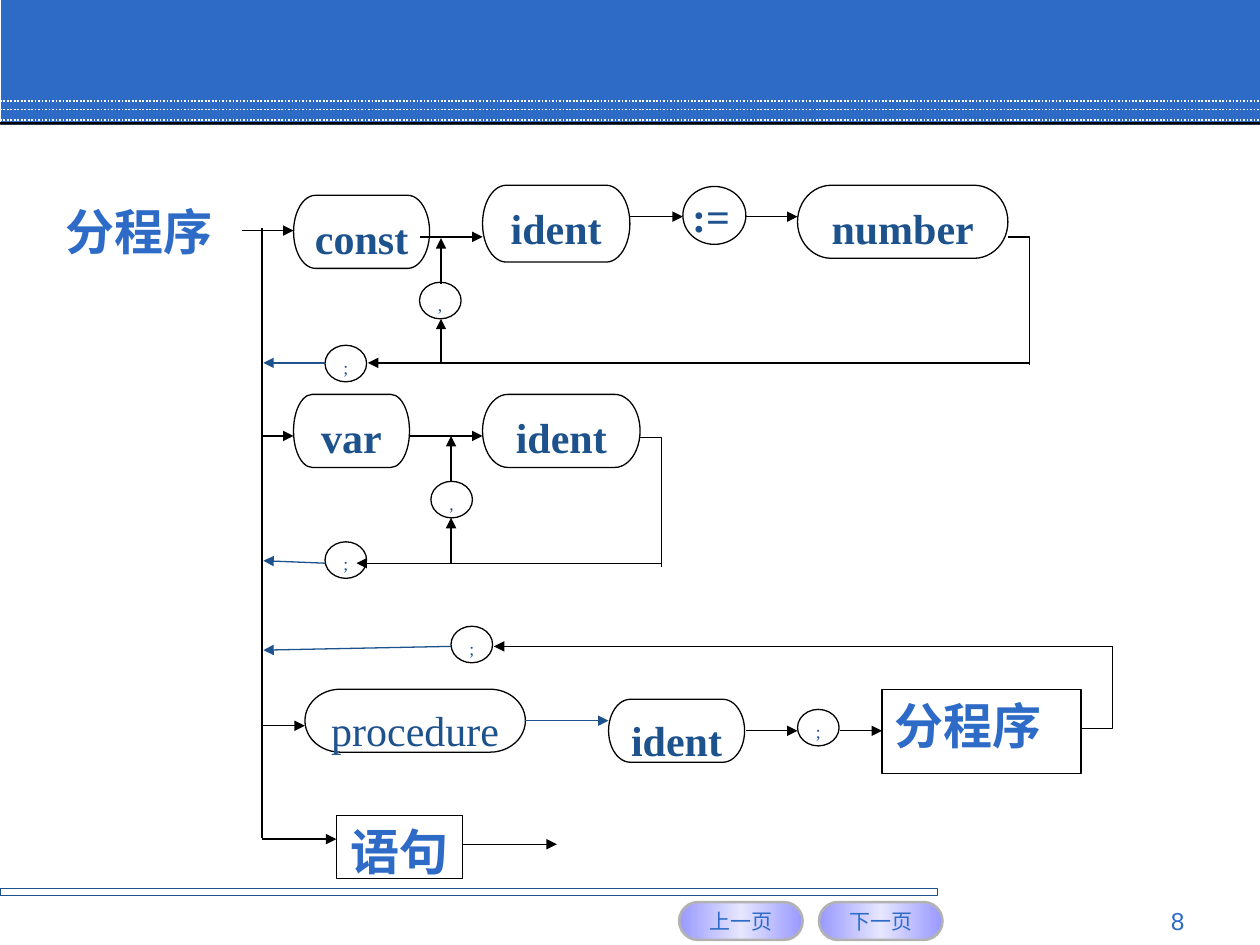
from copy import deepcopy

from pptx import Presentation
from pptx.dml.color import RGBColor
from pptx.enum.dml import MSO_LINE_DASH_STYLE as DASH
from pptx.enum.shapes import MSO_CONNECTOR, MSO_SHAPE as SHAPE
from pptx.enum.text import MSO_ANCHOR as ANCHOR, PP_ALIGN as ALIGN
from pptx.oxml.ns import qn
from pptx.util import Inches, Pt
from lxml.etree import SubElement

COLORS = {
    "blue": "2D6BC7", "navy": "1D528D", "black": "000000", "white": "FFFFFF",
    "lilac": "9999FF", "pale": "E6E6FF", "gray": "B2B2B2",
}
SERIF, SANS, CJK = "Times New Roman", "Arial", "Noto Sans CJK SC"

# Terminals: text, left, top, width, height, bold
TERMINALS = [
    ("const", 2.33, 1.55, 1.08, 0.58, True),
    ("ident", 3.83, 1.47, 1.17, 0.61, True),
    ("number", 6.33, 1.47, 1.67, 0.58, True),
    ("var", 2.33, 3.13, 0.92, 0.58, True),
    ("ident", 3.83, 3.13, 1.25, 0.58, True),
    ("procedure", 2.42, 5.47, 1.75, 0.5, False),
    ("ident", 4.83, 5.55, 1.08, 0.5, True),
]
# Separators: text, left, top
SEPARATORS = [
    (",", 3.33, 2.24), (";", 2.58, 2.74), (",", 3.42, 3.82),
    (";", 2.58, 4.3), (";", 3.58, 4.97), (";", 6.33, 5.63),
]
# Arrows: from x, from y, to x, to y
FLOWS = [
    # constant declarations
    (1.92, 1.83, 2.33, 1.83), (3.33, 1.88, 3.83, 1.88),
    (5, 1.72, 5.42, 1.72), (5.92, 1.72, 6.33, 1.72),
    (8.17, 2.88, 2.92, 2.88), (3.5, 2.89, 3.5, 2.53), (3.5, 2.25, 3.5, 1.89),
    # variable declarations
    (2.08, 3.46, 2.33, 3.46), (3.25, 3.46, 3.83, 3.46),
    (5.25, 4.47, 2.83, 4.47), (3.58, 4.47, 3.58, 4.11), (3.58, 3.82, 3.58, 3.46),
    # procedure declarations
    (2.08, 5.76, 2.42, 5.76), (5.92, 5.8, 6.33, 5.8),
    (6.67, 5.8, 7, 5.8), (8.83, 5.13, 3.92, 5.13),
    # statement
    (2.08, 6.66, 2.67, 6.66), (3.67, 6.7, 4.42, 6.7),
]
NAVY_FLOWS = [
    (2.58, 2.88, 2.09, 2.88), (2.58, 4.47, 2.09, 4.45),
    (3.58, 5.13, 2.09, 5.16), (4.17, 5.72, 4.83, 5.72),
]
LOOP_CORNERS = [
    [(8, 1.88), (8.17, 1.88), (8.17, 2.9)],
    [(5.08, 3.47), (5.25, 3.47), (5.25, 4.5)],
    [(8.58, 5.78), (8.83, 5.78), (8.83, 5.13)],
]


def rgb(name):
    return RGBColor.from_string(COLORS[name])


def set_text(shape, text, size, color, font=SERIF, bold=False,
             align=ALIGN.CENTER, anchor=ANCHOR.TOP, side_inset=0.1, wrap=True):
    frame = shape.text_frame
    frame.text = text
    frame.word_wrap = wrap
    frame.vertical_anchor = anchor
    frame.margin_left = frame.margin_right = Inches(side_inset)
    frame.margin_top = frame.margin_bottom = Inches(0.05)
    paragraph = frame.paragraphs[0]
    paragraph.alignment = align
    run = paragraph.runs[0]
    run.font.name = font
    run.font.size = Pt(size)
    run.font.bold = bold
    run.font.color.rgb = rgb(color)
    SubElement(run.font._element, qn("a:ea"), typeface=CJK)


def add_box(slide, kind, left, top, width, height,
            fill="white", line="black", weight=0.75):
    box = slide.shapes.add_shape(
        kind, Inches(left), Inches(top), Inches(width), Inches(height))
    box.shadow.inherit = False
    if fill:
        box.fill.solid()
        box.fill.fore_color.rgb = rgb(fill)
    else:
        box.fill.background()
    if line:
        box.line.color.rgb = rgb(line)
        box.line.width = Pt(weight)
    else:
        box.line.fill.background()
    return box


def add_label(slide, text, left, top, width, height, size, **style):
    label = slide.shapes.add_textbox(
        Inches(left), Inches(top), Inches(width), Inches(height))
    set_text(label, text, size, "blue", **style)


def add_line(slide, x1, y1, x2, y2, color="black", weight=0.75, arrow=False):
    line = slide.shapes.add_connector(
        MSO_CONNECTOR.STRAIGHT, Inches(x1), Inches(y1), Inches(x2), Inches(y2))
    line.line.color.rgb = rgb(color)
    line.line.width = Pt(weight)
    if arrow:
        SubElement(line.line._get_or_add_ln(), qn("a:tailEnd"), type="triangle")
    SubElement(line._element.spPr, qn("a:effectLst"))
    return line


def add_corner(slide, points):
    start, *rest = [(Inches(x), Inches(y)) for x, y in points]
    builder = slide.shapes.build_freeform(*start)
    builder.add_line_segments(rest, close=False)
    corner = builder.convert_to_shape()
    corner.shadow.inherit = False
    corner.fill.background()
    corner.line.color.rgb = rgb("black")
    corner.line.width = Pt(0.75)


def add_button(slide, text, left):
    button = add_box(slide, SHAPE.ROUNDED_RECTANGLE, left, 7.16, 0.98, 0.3,
                     line="gray", weight=1.5)
    button.adjustments[0] = 0.5
    button.fill.gradient()
    button.fill.gradient_angle = 0
    stop_list = button._element.spPr.find(".//" + qn("a:gsLst"))
    stop_list.append(deepcopy(stop_list[0]))
    stops = zip(button.fill.gradient_stops, (0, 0.5, 1), ("lilac", "pale", "lilac"))
    for stop, position, color in stops:
        stop.position = position
        stop.color.rgb = rgb(color)
    set_text(button, text, 12, "blue", font=SANS, anchor=ANCHOR.MIDDLE, wrap=False)


def add_frame(slide):
    # Header band with dotted rules
    add_box(slide, SHAPE.RECTANGLE, 0.01, 0, 9.99, 0.99, fill="blue", line=None)
    for y in (0.8, 0.87, 0.95):
        rule = add_line(slide, 0, y, 10, y, "white", 1)
        rule.line.dash_style = DASH.ROUND_DOT
    add_box(slide, SHAPE.RECTANGLE, 0, 0.97, 10, 0.02, fill="black", line=None)
    # Footer bar, navigation and page number
    add_box(slide, SHAPE.RECTANGLE, 0, 7.05, 7.44, 0.06, fill=None, line="navy")
    add_button(slide, "上一页", 5.39)
    add_button(slide, "下一页", 6.5)
    add_label(slide, "8", 7.17, 7.14, 2.33, 0.27, 14, font=SANS, align=ALIGN.RIGHT)


def add_nodes(slide):
    for text, left, top, width, height, bold in TERMINALS:
        node = add_box(slide, SHAPE.FLOWCHART_TERMINATOR, left, top, width, height)
        set_text(node, text, 24, "navy", bold=bold)
    assign = add_box(slide, SHAPE.FLOWCHART_CONNECTOR, 5.42, 1.48, 0.5, 0.46)
    set_text(assign, ":=", 24, "navy", bold=True, align=ALIGN.JUSTIFY,
             anchor=ANCHOR.MIDDLE, side_inset=0)
    for text, left, top in SEPARATORS:
        separator = add_box(slide, SHAPE.FLOWCHART_CONNECTOR, left, top, 0.33, 0.29)
        set_text(separator, text, 10, "navy", align=ALIGN.JUSTIFY)
    block = add_box(slide, SHAPE.FLOWCHART_PROCESS, 7, 5.47, 1.58, 0.67)
    set_text(block, "分程序", 28, "blue", bold=True, align=ALIGN.JUSTIFY)
    statement = add_box(slide, SHAPE.FLOWCHART_PROCESS, 2.67, 6.47, 1, 0.5)
    set_text(statement, "语句", 28, "blue", bold=True)


def add_flows(slide):
    add_line(slide, 2.08, 1.81, 2.08, 6.65)
    for corner in LOOP_CORNERS:
        add_corner(slide, corner)
    for color, flows in (("black", FLOWS), ("navy", NAVY_FLOWS)):
        for flow in flows:
            add_line(slide, *flow, color=color, arrow=True)


def main():
    deck = Presentation()
    deck.slide_width, deck.slide_height = Inches(10), Inches(7.5)
    slide = deck.slides.add_slide(deck.slide_layouts[6])
    add_frame(slide)
    add_nodes(slide)
    add_flows(slide)
    # Name of the rule being defined
    add_label(slide, "分程序", 0.42, 1.55, 1.42, 0.57, 28,
              font=CJK, bold=True, align=ALIGN.LEFT)
    deck.save("out.pptx")


if __name__ == "__main__":
    main()
